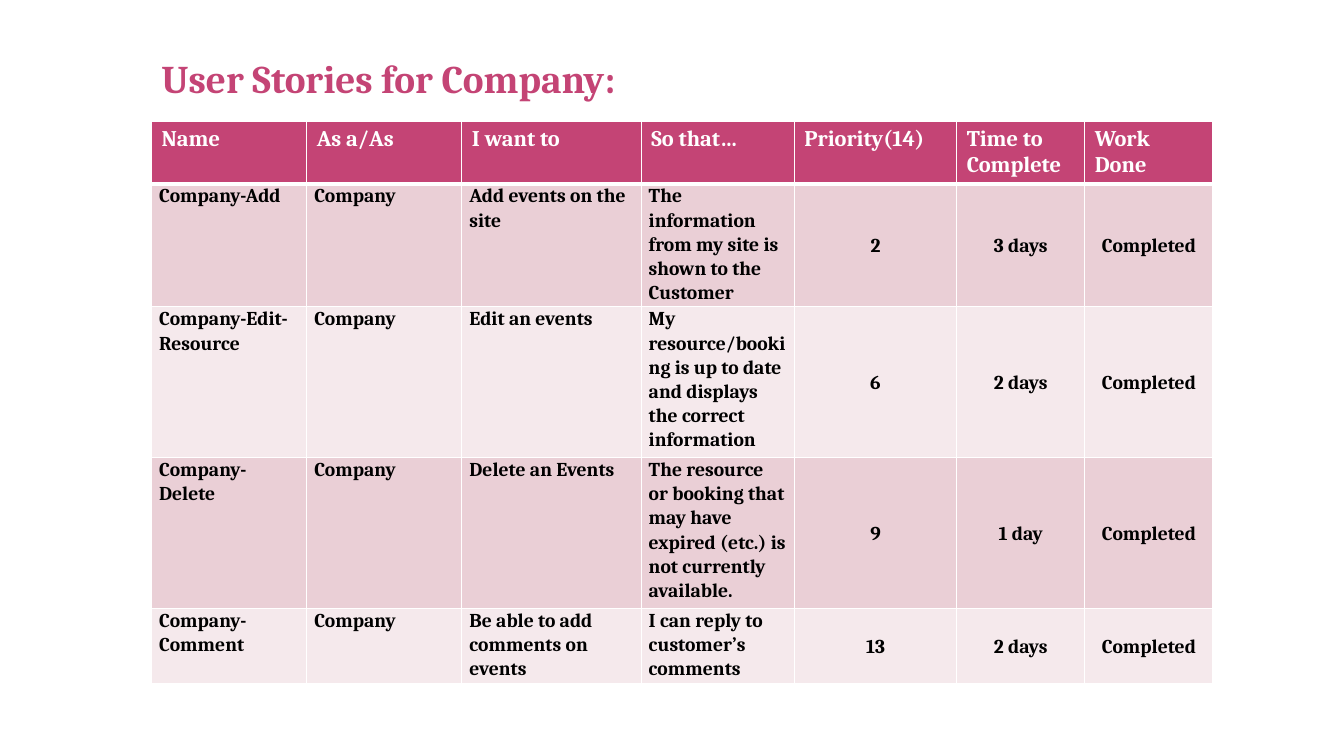
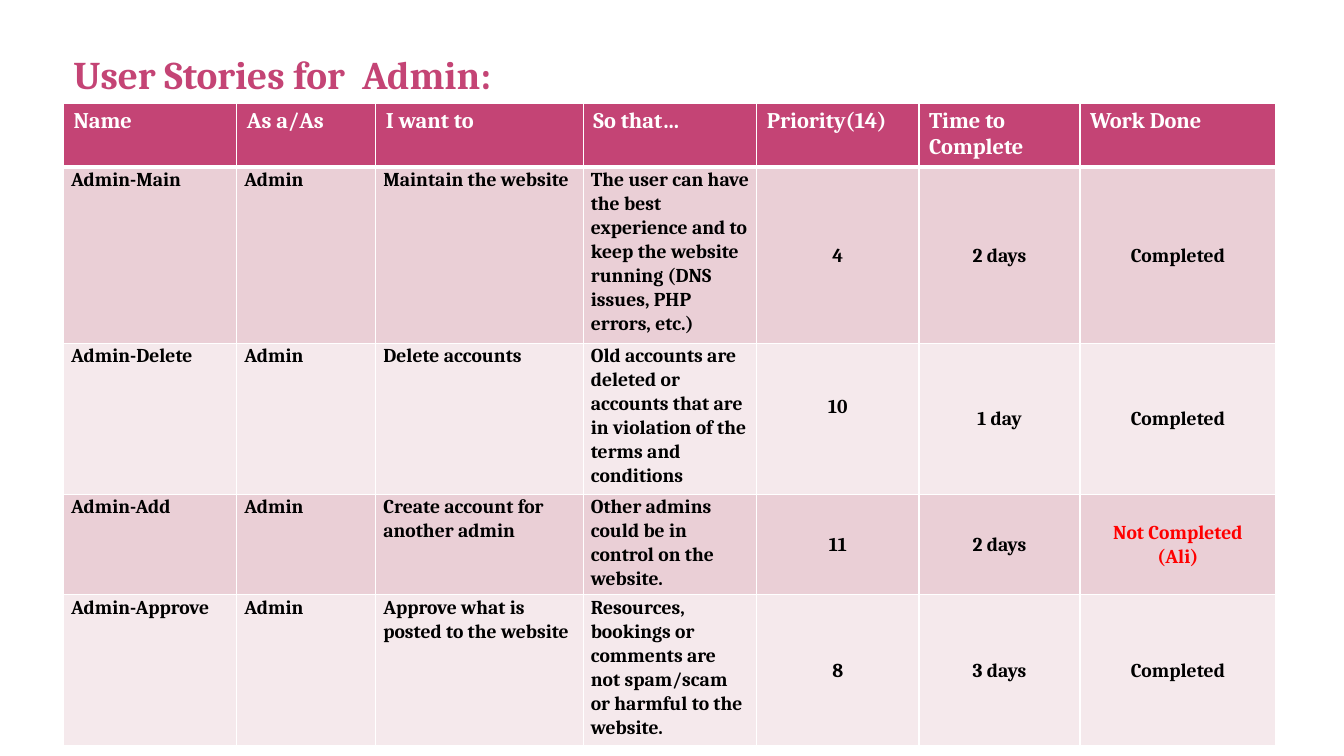
from dataclasses import dataclass

from lxml.etree import SubElement
from pptx import Presentation
from pptx.dml.color import RGBColor
from pptx.enum.text import MSO_ANCHOR as Anchor, PP_ALIGN as Align
from pptx.oxml.ns import qn
from pptx.util import Cm, Pt


@dataclass(frozen=True)
class Theme:
    font: str = "Cambria"
    accent: str = "C44475"
    white: str = "FFFFFF"
    ink: str = "000000"
    alert: str = "FF0000"
    bands: tuple = ("EACFD6", "F5E9EC")
    title_size: int = 28
    header_size: int = 16
    body_size: int = 14
    border: int = 1
    header_border: int = 3
    line_spacing: float = 1.07
    cell_margin: float = 0.19


HEADERS = ("Name", "As a/As", "I want to", "So that…", "Priority(14)",
           "Time to Complete", "Work Done")
FIRST_CENTRED = HEADERS.index("Priority(14)")

COMPANY_STORIES = (
    ("Company-Add", "Company", "Add events on the site",
     "The information from my site is shown to the Customer",
     "2", "3 days", "Completed"),
    ("Company-Edit-Resource", "Company", "Edit an events",
     "My resource/booking is up to date and displays the correct information",
     "6", "2 days", "Completed"),
    ("Company-Delete", "Company", "Delete an Events",
     "The resource or booking that may have expired (etc.) is not currently available.",
     "9", "1 day", "Completed"),
    ("Company-Comment", "Company", "Be able to add comments on events",
     "I can reply to customer’s comments",
     "13", "2 days", "Completed"),
)

ADMIN_STORIES = (
    ("Admin-Main", "Admin", "Maintain the website",
     "The user can have the best experience and to keep the website running "
     "(DNS issues, PHP errors, etc.)",
     "4", "2 days", "Completed"),
    ("Admin-Delete", "Admin", "Delete accounts",
     "Old accounts are deleted or accounts that are in violation of the terms and conditions",
     "10", "1 day", "Completed"),
    ("Admin-Add", "Admin", "Create account for another admin",
     "Other admins could be in control on the website.",
     "11", "2 days", "Not Completed\n(Ali)"),
    ("Admin-Approve", "Admin", "Approve what is posted to the website",
     "Resources, bookings or comments are not spam/scam or harmful to the website.",
     "8", "3 days", "Completed"),
)


class StoryDeck:
    def __init__(self, theme):
        self.theme = theme
        self.deck = Presentation()
        self.deck.slide_width = Cm(33.87)
        self.deck.slide_height = Cm(19.05)
        self.page = None

    def add_page(self):
        self.page = self.deck.slides.add_slide(self.deck.slide_layouts[6])

    def style(self, para, size, color):
        para.font.name = self.theme.font
        para.font.size = Pt(size)
        para.font.bold = True
        para.font.color.rgb = RGBColor.from_string(color)

    def title(self, text, left, top, width):
        box = self.page.shapes.add_textbox(Cm(left), Cm(top), Cm(width), Cm(2.24))
        box.text_frame.word_wrap = True
        box.text_frame.text = text
        self.style(box.text_frame.paragraphs[0], self.theme.title_size, self.theme.accent)

    def borders(self, cell, row):
        properties = cell._tc.get_or_add_tcPr()
        thick_side = {0: "lnB", 1: "lnT"}.get(row)
        for side in ("lnL", "lnR", "lnT", "lnB"):
            width = self.theme.header_border if side == thick_side else self.theme.border
            line = SubElement(properties, qn(f"a:{side}"), w=str(Pt(width)))
            fill = SubElement(line, qn("a:solidFill"))
            SubElement(fill, qn("a:srgbClr"), val=self.theme.white)

    def fill(self, cell, color):
        cell.fill.solid()
        cell.fill.fore_color.rgb = RGBColor.from_string(color)

    def header_cell(self, cell, text):
        cell.text = text
        self.borders(cell, 0)
        self.fill(cell, self.theme.accent)
        self.style(cell.text_frame.paragraphs[0], self.theme.header_size, self.theme.white)

    def body_cell(self, cell, text, row, column):
        theme = self.theme
        centred = column >= FIRST_CENTRED
        cell.text = text
        self.borders(cell, row)
        self.fill(cell, theme.bands[(row - 1) % 2])
        cell.margin_left = cell.margin_right = Cm(theme.cell_margin)
        cell.margin_top = cell.margin_bottom = 0
        cell.vertical_anchor = Anchor.MIDDLE if centred else Anchor.TOP
        color = theme.alert if text.startswith("Not Completed") else theme.ink
        for para in cell.text_frame.paragraphs:
            para.alignment = Align.CENTER if centred else Align.LEFT
            para.line_spacing = theme.line_spacing
            self.style(para, theme.body_size, color)

    def story_table(self, stories, left, top, widths, heights):
        frame = self.page.shapes.add_table(
            len(heights), len(widths), Cm(left), Cm(top), Cm(sum(widths)), Cm(sum(heights)))
        table = frame.table
        for column, width in zip(table.columns, widths):
            column.width = Cm(width)
        for row, height in zip(table.rows, heights):
            row.height = Cm(height)
        for column, text in enumerate(HEADERS):
            self.header_cell(table.cell(0, column), text)
        for row, story in enumerate(stories, 1):
            for column, text in enumerate(story):
                self.body_cell(table.cell(row, column), text, row, column)
        return table

    def save(self):
        self.deck.save("out.pptx")


def main():
    deck = StoryDeck(Theme())

    deck.add_page()
    deck.story_table(COMPANY_STORIES, 3.82, 3.06,
                     (3.91, 3.91, 4.52, 3.86, 4.09, 3.23, 3.23),
                     (1.57, 3.1, 3.8, 3.8, 1.9))
    deck.title("User Stories for Company:", 3.82, 1.24, 12.85)

    deck.add_page()
    table = deck.story_table(ADMIN_STORIES, 1.6, 2.6,
                             (4.37, 3.5, 5.23, 4.37, 4.09, 4.06, 4.93),
                             (1.57, 4.35, 3.7, 2.5, 3.75))
    table.cell(2, FIRST_CENTRED).margin_bottom = Cm(0.6)
    deck.title("User Stories for  Admin:", 1.6, 1.14, 14.35)

    deck.save()


if __name__ == "__main__":
    main()
